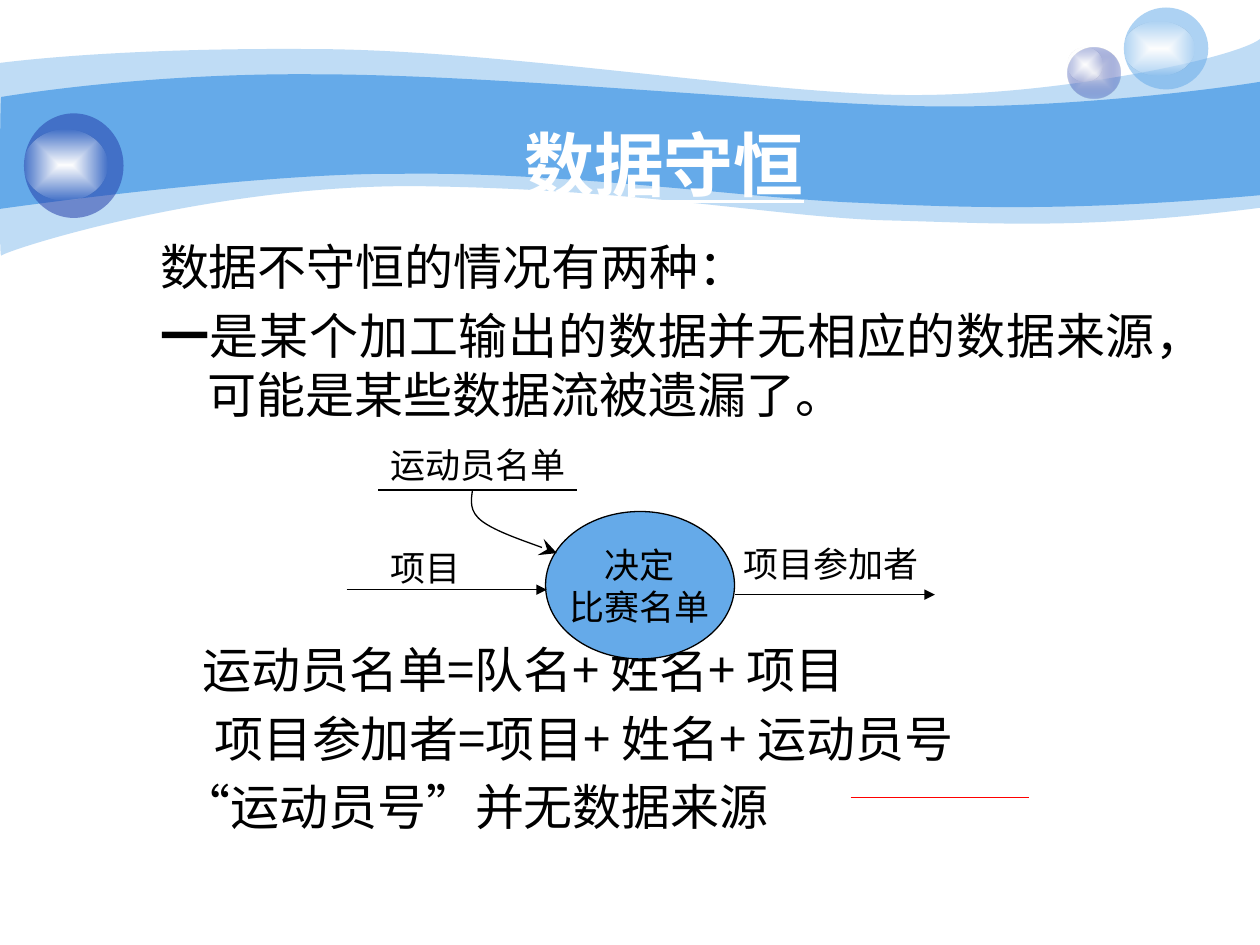
from lxml import etree
from pptx import Presentation
from pptx.dml.color import RGBColor
from pptx.enum.shapes import MSO_CONNECTOR, MSO_SHAPE
from pptx.enum.text import MSO_ANCHOR, PP_ALIGN
from pptx.oxml import parse_xml
from pptx.oxml.ns import nsdecls, qn
from pptx.util import Inches, Pt

CENTER, LEFT, JUSTIFY = PP_ALIGN.CENTER, PP_ALIGN.LEFT, PP_ALIGN.JUSTIFY
MIDDLE, TOP = MSO_ANCHOR.MIDDLE, MSO_ANCHOR.TOP
OVAL, PROCESS = MSO_SHAPE.OVAL, MSO_SHAPE.FLOWCHART_CONNECTOR
STRAIGHT = MSO_CONNECTOR.STRAIGHT
BLACK = RGBColor(0x00, 0x00, 0x00)
WHITE = RGBColor(0xFF, 0xFF, 0xFF)
RED = RGBColor(0xFF, 0x00, 0x00)
SKY = RGBColor(0x65, 0xAA, 0xE9)
NAVY = RGBColor(0x23, 0x3D, 0xA9)
PALE = RGBColor(0xE1, 0xE2, 0xED)
CJK_FONT = "Noto Sans CJK SC"


def write(paragraph, text, size=20, color=BLACK, font="Arial", bold=False,
          underline=False, align=LEFT):
    paragraph.alignment = align
    run = paragraph.add_run()
    run.text = text
    run.font.size = Pt(size)
    run.font.color.rgb = color
    run.font.name = font
    run.font.bold = bold
    run.font.underline = underline
    latin = run.font._element.find(qn("a:latin"))
    latin.addnext(parse_xml(f'<a:ea {nsdecls("a")} typeface="{CJK_FONT}"/>'))


def draw_curve(start, segments, closed):
    """Draw a chain of cubic Béziers; a one-point segment is a straight side."""
    points = [tuple(map(Inches, p)) for segment in segments for p in segment]
    builder = slide.shapes.build_freeform(*map(Inches, start))
    builder.add_line_segments(points, close=closed)
    curve = builder.convert_to_shape()
    curve.shadow.inherit = False
    sides = iter(list(curve._element.iter(qn("a:lnTo"))))
    for segment in segments:
        side = next(sides)
        if len(segment) == 3:
            side.addprevious(bezier := etree.Element(qn("a:cubicBezTo")))
            for corner in (side, next(sides), next(sides)):
                bezier.append(corner[0])
                corner.getparent().remove(corner)
    return curve


prs = Presentation()
prs.slide_width, prs.slide_height = Inches(10), Inches(7.5)
slide = prs.slides.add_slide(prs.slide_layouts[1])
title, body = slide.placeholders

# Wave bands across the header: start, outline, opacity
waves = [
    ((0, 0.5), [
        [(0.24, 0.47), (1.07, 0.38), (2.47, 0.39)],
        [(3.86, 0.39), (5.75, 0.7), (6.99, 0.75)],
        [(8.22, 0.8), (9.8, 0.47), (10, 0.31)],
        [(10, 1.65)],
        [(8.58, 1.83), (7.87, 1.77), (7.05, 1.75)],
        [(6.22, 1.73), (5.15, 1.51), (3.43, 1.48)],
        [(1.72, 1.44), (0.04, 1.99), (0.01, 2.03)],
        [(-0.01, 2.08), (0, 0.75), (0, 0.5)]], 41),
    ((0.01, 0.77), [
        [(0.02, 0.77), (1.1, 0.58), (2.48, 0.59)],
        [(3.86, 0.59), (5.95, 0.8), (7.18, 0.84)],
        [(8.41, 0.88), (9.76, 0.69), (10, 0.65)],
        [(10, 1.55)],
        [(8.53, 1.68), (7.65, 1.65), (6.82, 1.61)],
        [(5.99, 1.58), (4.47, 1.36), (3.17, 1.38)],
        [(2.03, 1.37), (-0.02, 1.66), (-0.01, 1.66)],
        [(0, 1.66), (0, 0.77), (0.01, 0.77)]], 100),
]
for start, outline, opacity in waves:
    wave = draw_curve(start, outline, True)
    wave.fill.solid()
    wave.fill.fore_color.rgb = SKY
    wave.line.fill.background()
    tint = wave._element.spPr.find(qn("a:solidFill"))[0]
    etree.SubElement(tint, qn("a:alpha"), val=str(opacity * 1000))

# Glass balls: left, top, width, height, inner and outer colour, opacities
balls = [
    (8.47, 0.38, 0.42, 0.40, PALE, NAVY, 100, 31),
    (8.47, 0.38, 0.28, 0.27, WHITE, WHITE, 100, 0),
    (8.92, 0.06, 0.67, 0.65, SKY, SKY, 53, 53),
    (8.92, 0.17, 0.56, 0.43, WHITE, WHITE, 100, 0),
    (0.19, 0.90, 0.79, 0.83, NAVY, NAVY, 53, 53),
    (0.19, 1.03, 0.66, 0.56, WHITE, WHITE, 100, 0),
]
for *box, inner, outer, inner_alpha, outer_alpha in balls:
    ball = slide.shapes.add_shape(OVAL, *map(Inches, box))
    ball.shadow.inherit = False
    ball.line.fill.background()
    if inner == outer and inner_alpha == outer_alpha:
        ball.fill.solid()
        ball.fill.fore_color.rgb = inner
        tint = ball._element.spPr.find(qn("a:solidFill"))[0]
        etree.SubElement(tint, qn("a:alpha"), val=str(inner_alpha * 1000))
        continue
    stops = "".join(
        f'<a:gs pos="{pos}"><a:srgbClr val="{color}">'
        f'<a:alpha val="{alpha * 1000}"/></a:srgbClr></a:gs>'
        for pos, color, alpha in ((0, inner, inner_alpha),
                                  (100000, outer, outer_alpha)))
    ball._element.spPr.find(qn("a:prstGeom")).addnext(parse_xml(
        f'<a:gradFill {nsdecls("a")} rotWithShape="1"><a:gsLst>{stops}</a:gsLst>'
        '<a:path path="shape"><a:fillToRect l="50000" t="50000" r="50000" '
        'b="50000"/></a:path></a:gradFill>'))

# Title and body text, in front of the header
for holder, box, anchor in ((title, (1.32, 0.67, 7.9, 1.25), MIDDLE),
                            (body, (1.17, 1.83, 8.5, 5.33), TOP)):
    holder.left, holder.top, holder.width, holder.height = map(Inches, box)
    holder.text_frame.vertical_anchor = anchor
    slide.shapes._spTree.append(holder._element)
write(title.text_frame.paragraphs[0], "数据守恒", size=40, color=WHITE, bold=True,
      underline=True, align=CENTER)

# Left margin, first-line indent, space before, (text, bold) runs
body_lines = [
    (0.38, -0.38, 0, [("数据不守恒的情况有两种：", False)]),
    (0.38, -0.38, 5.6, [("一", True), (
        "是某个加工输出的数据并无相应的数据来源，可能是某些数据流被遗漏了。", False)]),
    (0.34, 0, 123.6, [("运动员名单=队名+ 姓名+ 项目", False)]),
    (0.43, 0, 5.6, [("项目参加者=项目+ 姓名+ 运动员号", False)]),
    (0.17, 0, 5.6, [("“运动员号”并无数据来源", False)]),
]
for number, (margin, indent, gap, runs) in enumerate(body_lines):
    frame = body.text_frame
    line = frame.add_paragraph() if number else frame.paragraphs[0]
    properties = line._p.get_or_add_pPr()
    properties.set("marL", str(Inches(margin)))
    properties.set("indent", str(Inches(indent)))
    etree.SubElement(properties, qn("a:buNone"))
    line.space_before = Pt(gap)
    for text, bold in runs:
        write(line, text, size=28, font=CJK_FONT, bold=bold, align=JUSTIFY)

# Data flow diagram
process = slide.shapes.add_shape(PROCESS, Inches(4.33), Inches(4.06),
                                 Inches(1.5), Inches(1.17))
process.shadow.inherit = False
process.fill.solid()
process.fill.fore_color.rgb = SKY
process.line.color.rgb = BLACK
process.line.width = Pt(0.75)
process.text_frame.word_wrap = False
process.text_frame.vertical_anchor = MIDDLE
write(process.text_frame.paragraphs[0], "决定", align=CENTER)
write(process.text_frame.add_paragraph(), "比赛名单", align=CENTER)

for text, left, top, width in (("运动员名单", 3, 3.47, 1.67),
                               ("项目参加者", 5.8, 4.26, 1.67),
                               ("项目", 3, 4.29, 0.83)):
    label = slide.shapes.add_textbox(*map(Inches, (left, top, width, 0.43)))
    label.text_frame.word_wrap = True
    write(label.text_frame.paragraphs[0], text)

flows = []
for x1, x2, y, color, head in ((3, 4.58, 3.89, BLACK, None),
                               (2.75, 4.34, 4.68, BLACK, "triangle"),
                               (5.83, 7.42, 4.72, BLACK, "triangle"),
                               (6.75, 8.17, 6.33, RED, None)):
    flow = slide.shapes.add_connector(STRAIGHT, *map(Inches, (x1, y, x2, y)))
    flows.append((flow, color, head))
list_flow = draw_curve((3.75, 3.89), [
    [(3.74, 3.97), (3.72, 4.06), (3.83, 4.14)],
    [(3.94, 4.22), (4.32, 4.35), (4.42, 4.39)]], False)
list_flow.fill.background()
flows.append((list_flow, BLACK, "stealth"))
for flow, color, head in flows:
    flow.line.color.rgb = color
    flow.line.width = Pt(0.75)
    if head:
        size = "lg" if head == "stealth" else "med"
        etree.SubElement(flow.line._get_or_add_ln(), qn("a:tailEnd"),
                         type=head, w=size, len=size)
    if flow is not list_flow:
        etree.SubElement(flow._element.spPr, qn("a:effectLst"))

prs.save("out.pptx")
